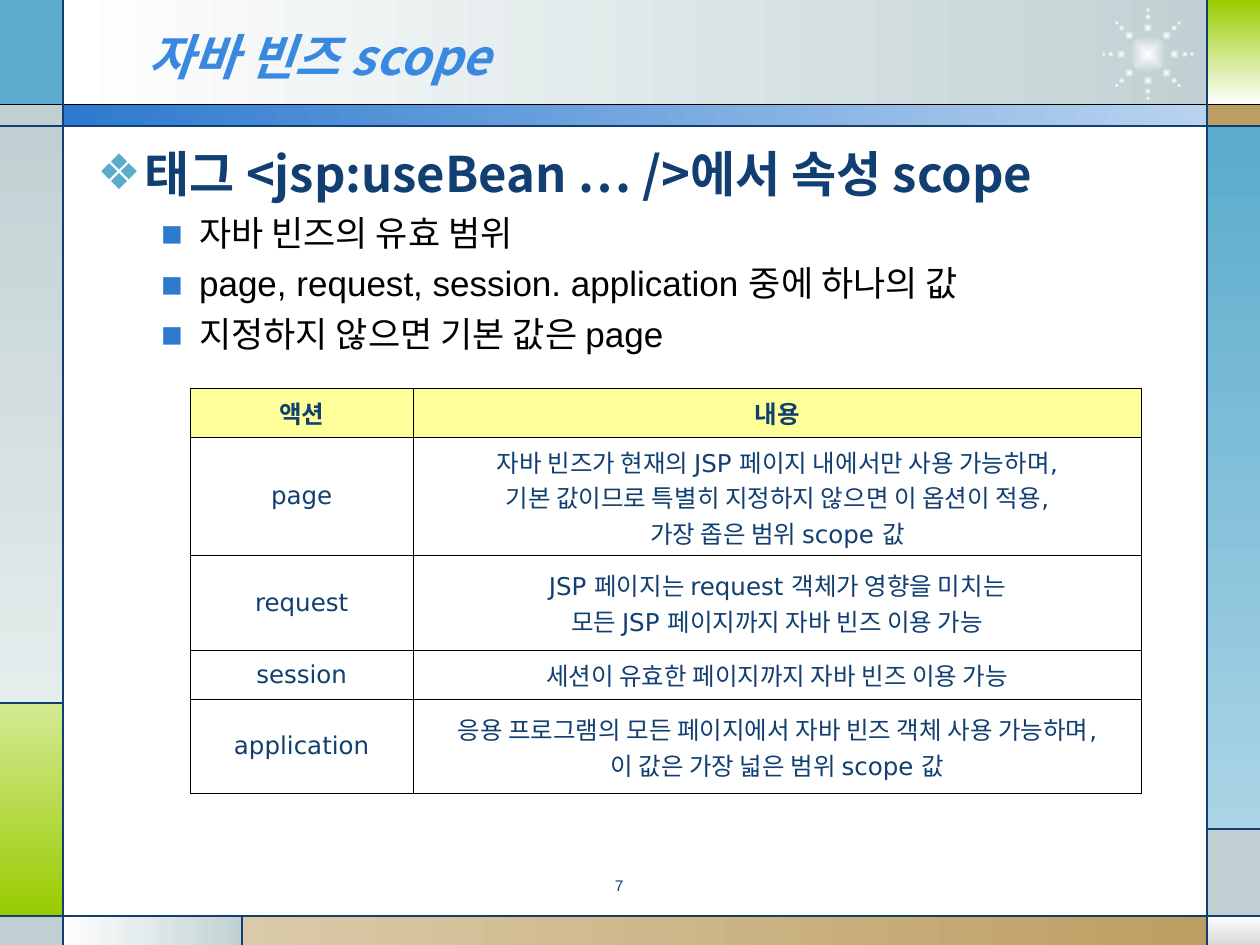
from dataclasses import dataclass
from math import cos, radians, sin

from lxml import etree
from pptx import Presentation
from pptx.dml.color import RGBColor
from pptx.enum.shapes import MSO_CONNECTOR, MSO_SHAPE
from pptx.enum.text import MSO_ANCHOR, MSO_AUTO_SIZE, PP_ALIGN
from pptx.oxml import parse_xml
from pptx.oxml.ns import nsdecls, qn
from pptx.util import Inches, Pt

RECT, OVAL = MSO_SHAPE.RECTANGLE, MSO_SHAPE.OVAL
STRAIGHT = MSO_CONNECTOR.STRAIGHT
MIDDLE, TOP = MSO_ANCHOR.MIDDLE, MSO_ANCHOR.TOP
LEFT, CENTER = PP_ALIGN.LEFT, PP_ALIGN.CENTER
NO_FIT = MSO_AUTO_SIZE.NONE
COLUMNS, ROWS = 100, 75


@dataclass(frozen=True)
class Theme:
    white: str = "FFFFFF"
    black: str = "000000"
    navy: str = "113F71"
    title: str = "3989E1"
    blue: str = "2D7ACF"
    pale_blue: str = "B9D3EF"
    teal: str = "5AABCC"
    pale_teal: str = "AAD4E5"
    gray: str = "C1D1D3"
    pale_gray: str = "E5ECEC"
    silver: str = "D8D8D8"
    green: str = "99CC00"
    pale_green: str = "D4E993"
    tan: str = "BD9E61"
    pale_tan: str = "DBCAA9"
    header: str = "FFFF99"
    korean: str = "Noto Sans CJK KR"
    plain: str = "Arial"
    table: str = "DejaVu Sans"
    heading_size: float = 28
    item_size: float = 20
    cell_size: float = 14
    number_size: float = 8.8
    rule_width: float = 0.75
    border_width: float = 0.45


class ThemedSlide:
    def __init__(self, deck, theme):
        self.theme = theme
        self.slide = deck.slides.add_slide(deck.slide_layouts[1])
        self.shapes = self.slide.shapes
        self.unit_x = deck.slide_width / COLUMNS
        self.unit_y = deck.slide_height / ROWS

    def x(self, columns):
        return round(columns * self.unit_x)

    def y(self, rows):
        return round(rows * self.unit_y)

    def box(self, left, top, width, height):
        return self.x(left), self.y(top), self.x(width), self.y(height)

    def style(self, paragraph, font, size, color, bold=False, italic=False):
        for run in paragraph.runs:
            run.font.name, run.font.size = font, Pt(size)
            run.font.bold, run.font.italic = bold, italic
            run.font.color.rgb = RGBColor.from_string(color)
            east_asian = parse_xml(f'<a:ea {nsdecls("a")} typeface="{self.theme.korean}"/>')
            run.font._element.find(qn("a:latin")).addnext(east_asian)

    def panel(self, left, top, right, bottom, start, end=None, angle=0, kind=RECT):
        panel = self.shapes.add_shape(kind, *self.box(left, top, right - left, bottom - top))
        panel.shadow.inherit = False
        panel.line.fill.background()
        if end is None:
            panel.fill.solid()
            panel.fill.fore_color.rgb = RGBColor.from_string(start)
            return panel
        panel.fill.gradient()
        panel.fill.gradient_angle = -angle % 360
        for stop, color, position in zip(panel.fill.gradient_stops, (start, end), (0, 1)):
            stop.color.rgb = RGBColor.from_string(color)
            stop.position = position
        return panel

    def spark(self, center_x, center_y, size):
        half = size / 2
        spark = self.panel(center_x - half, center_y - half, center_x + half, center_y + half,
                           self.theme.white, self.theme.gray, kind=OVAL)
        direction = spark._element.spPr.find(qn("a:gradFill")).find(qn("a:lin"))
        direction.getparent().replace(direction, parse_xml(
            f'<a:path {nsdecls("a")} path="rect">'
            '<a:fillToRect l="50000" t="50000" r="50000" b="50000"/></a:path>'))

    def burst(self, center_x, center_y):
        self.spark(center_x, center_y, 3)
        for angle in range(0, 360, 45):
            for radius, size in ((2.1, 0.75), (2.95, 0.5), (3.5, 0.35)):
                self.spark(center_x + radius * cos(radians(angle)),
                           center_y + radius * sin(radians(angle)), size)

    def rule(self, x1, y1, x2, y2, color):
        rule = self.shapes.add_connector(STRAIGHT, self.x(x1), self.y(y1), self.x(x2), self.y(y2))
        rule.line.color.rgb = RGBColor.from_string(color)
        rule.line.width = Pt(self.theme.rule_width)
        etree.SubElement(rule._element.spPr, qn("a:effectLst"))

    def place(self, holder, bounds, anchor):
        self.shapes._spTree.append(holder._element)
        holder.left, holder.top, holder.width, holder.height = self.box(*bounds)
        frame = holder.text_frame
        frame.word_wrap, frame.auto_size, frame.vertical_anchor = True, NO_FIT, anchor
        return frame

    def title(self, bounds, text):
        frame = self.place(self.shapes.title, bounds, MIDDLE)
        frame.text = text
        heading = frame.paragraphs[0]
        heading.alignment = LEFT
        self.style(heading, self.theme.korean, self.theme.heading_size, self.theme.title, True, True)

    def bullet(self, paragraph, mark, color, margin, hanging):
        properties = paragraph._p.get_or_add_pPr()
        properties.set("marL", str(Inches(margin)))
        properties.set("indent", str(-Inches(hanging)))
        for markup in (f'<a:buClr {nsdecls("a")}><a:srgbClr val="{color}"/></a:buClr>',
                       f'<a:buFont {nsdecls("a")} typeface="{self.theme.table}"/>',
                       f'<a:buChar {nsdecls("a")} char="{mark}"/>'):
            properties.append(parse_xml(markup))

    def body(self, bounds, heading, items):
        theme = self.theme
        frame = self.place(self.slide.placeholders[1], bounds, TOP)
        frame.text = "\n".join([heading, *items])
        topic, *points = frame.paragraphs
        self.bullet(topic, "❖", theme.teal, 0.38, 0.38)
        topic.space_before = Pt(0)
        self.style(topic, theme.korean, theme.heading_size, theme.navy, bold=True)
        for point in points:
            point.level = 1
            self.bullet(point, "▪", theme.blue, 0.81, 0.31)
            point.space_before = Pt(5)
            self.style(point, theme.plain, theme.item_size, theme.black)

    def number(self, bounds, text):
        frame = self.shapes.add_textbox(*self.box(*bounds)).text_frame
        frame.word_wrap = True
        frame.text = text
        page = frame.paragraphs[0]
        page.alignment, page.line_spacing = CENTER, 0.8
        self.style(page, self.theme.plain, self.theme.number_size, self.theme.navy)

    def cell(self, cell, text, is_header):
        theme = self.theme
        cell.margin_left = cell.margin_right = Inches(0.07)
        cell.margin_top = cell.margin_bottom = Inches(0.05)
        cell.vertical_anchor = MIDDLE
        for side in ("lnL", "lnR", "lnT", "lnB"):
            cell._tc.get_or_add_tcPr().append(parse_xml(
                f'<a:{side} {nsdecls("a")} w="{Pt(theme.border_width)}"><a:solidFill>'
                f'<a:srgbClr val="{theme.black}"/></a:solidFill></a:{side}>'))
        if is_header:
            cell.fill.solid()
            cell.fill.fore_color.rgb = RGBColor.from_string(theme.header)
        else:
            cell.fill.background()
        cell.text = text
        for line in cell.text_frame.paragraphs:
            line.alignment = CENTER
            self.style(line, theme.table, theme.cell_size, theme.navy, bold=is_header)

    def table(self, left, top, widths, heights, records):
        bounds = self.box(left, top, sum(widths), sum(heights))
        table = self.shapes.add_table(len(heights), len(widths), *bounds).table
        for column, width in zip(table.columns, widths):
            column.width = self.x(width)
        for row, height in zip(table.rows, heights):
            row.height = self.y(height)
        for r, record in enumerate(records):
            for c, text in enumerate(record):
                self.cell(table.cell(r, c), text, r == 0)


def main():
    deck = Presentation()
    deck.slide_width, deck.slide_height = Inches(10), Inches(7.5)
    t = Theme()
    page = ThemedSlide(deck, t)
    left, right, top, bar, bottom = 5, 95.8, 8.3, 10, 72.7
    green_top, gray_top, tan_left = 55.8, 65.8, 19.2
    for panel in (
        (left, 0, right, top, t.white, t.gray),
        (0, 0, left, top, t.teal),
        (0, top, left, bar, t.gray),
        (0, bar, left, green_top, t.gray, t.pale_gray, 90),
        (0, green_top, left, bottom, t.pale_green, t.green, 90),
        (0, bottom, left, ROWS, t.gray),
        (left, bottom, tan_left, ROWS, t.white, t.gray),
        (tan_left, bottom, right, ROWS, t.pale_tan, t.tan),
        (right, bottom, COLUMNS, ROWS, t.white, t.silver, 90),
        (right, gray_top, COLUMNS, bottom, t.gray),
        (right, bar, COLUMNS, gray_top, t.teal, t.pale_teal, 90),
        (right, top, COLUMNS, bar, t.tan),
        (right, 0, COLUMNS, top, t.green, t.white, 90),
        (left, top, right, bar, t.blue, t.pale_blue),
    ):
        page.panel(*panel)
    page.burst(91.1, 4.3)
    page.rule(0, top, COLUMNS, top, t.black)
    for y in (bar, bottom):
        page.rule(0, y, COLUMNS, y, t.navy)
    for x in (left, right):
        page.rule(x, 0, x, ROWS, t.navy)
    page.rule(0, green_top, left, green_top, t.navy)
    page.rule(tan_left, bottom, tan_left, ROWS, t.navy)
    page.rule(right, gray_top, COLUMNS, gray_top, t.navy)
    page.title((10.8, 1.3, 73.3, 6.2), "자바 빈즈 scope")
    page.body((6.7, 10.9, 87.7, 56.3), "태그 <jsp:useBean … />에서 속성 scope", (
        "자바 빈즈의 유효 범위",
        "page, request, session. application 중에 하나의 값",
        "지정하지 않으면 기본 값은 page"))
    page.number((37.5, 69.3, 23.3, 2.7), "7")
    page.table(15.1, 30.8, (17.7, 57.8), (3.9, 9.4, 7.5, 3.9, 7.5), (
        ("액션", "내용"),
        ("page", "자바 빈즈가 현재의 JSP 페이지 내에서만 사용 가능하며,\n"
                 "기본 값이므로 특별히 지정하지 않으면 이 옵션이 적용,\n가장 좁은 범위 scope 값"),
        ("request", "JSP 페이지는 request 객체가 영향을 미치는\n모든 JSP 페이지까지 자바 빈즈 이용 가능"),
        ("session", "세션이 유효한 페이지까지 자바 빈즈 이용 가능"),
        ("application", "응용 프로그램의 모든 페이지에서 자바 빈즈 객체 사용 가능하며,\n"
                        "이 값은 가장 넓은 범위 scope 값")))
    deck.save("out.pptx")


if __name__ == "__main__":
    main()
